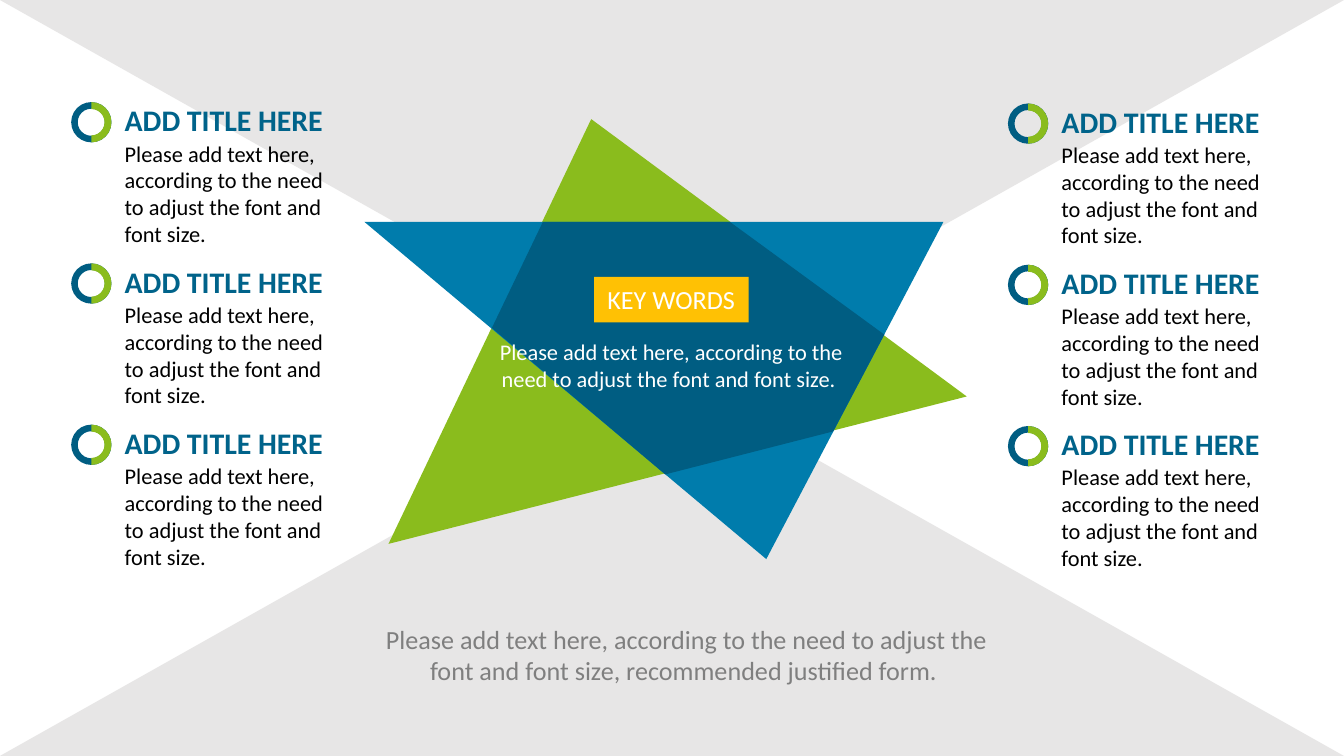
from pptx import Presentation
from pptx.dml.color import RGBColor
from pptx.enum.shapes import MSO_SHAPE as Shape
from pptx.enum.text import MSO_ANCHOR as Anchor, MSO_AUTO_SIZE as AutoSize, PP_ALIGN as Align
from pptx.util import Inches, Pt

WHITE = RGBColor(0xFF, 0xFF, 0xFF)
BLACK = RGBColor(0x00, 0x00, 0x00)
LIGHT_GRAY = RGBColor(0xE7, 0xE6, 0xE6)
GRAY = RGBColor(0x7F, 0x7F, 0x7F)
GREEN = RGBColor(0x8A, 0xBC, 0x1D)
BLUE = RGBColor(0x00, 0x7C, 0xAC)
DARK_BLUE = RGBColor(0x00, 0x5D, 0x82)
TITLE_BLUE = RGBColor(0x00, 0x63, 0x8A)
YELLOW = RGBColor(0xFF, 0xC1, 0x04)

SLIDE_WIDTH = 10
SLIDE_HEIGHT = SLIDE_WIDTH * 9 / 16
ITEM_PITCH = 1.2
RING_SIZE = 0.3
HINT = "Please add text here, according to the need to adjust the font and font size"


def paint(shape, color):
    shape.shadow.inherit = False
    shape.fill.solid()
    shape.fill.fore_color.rgb = color
    shape.line.fill.background()


def add_filled(shapes, kind, box, color, adjustments=(), rotation=0):
    shape = shapes.add_shape(kind, *map(Inches, box))
    paint(shape, color)
    for index, value in enumerate(adjustments):
        shape.adjustments[index] = value
    shape.rotation = rotation
    return shape


def write_text(shape, text, size, color, bold=False, align=Align.LEFT, wrap=True, after=0):
    frame = shape.text_frame
    frame.word_wrap = wrap
    frame.auto_size = AutoSize.SHAPE_TO_FIT_TEXT
    frame.vertical_anchor = Anchor.TOP
    paragraph = frame.paragraphs[0]
    paragraph.alignment = align
    paragraph.space_after = Pt(after)
    run = paragraph.add_run()
    run.text = text
    run.font.name = "Calibri"
    run.font.size = Pt(size)
    run.font.bold = bold
    run.font.color.rgb = color


def add_text(shapes, box, text, **text_format):
    write_text(shapes.add_textbox(*map(Inches, box)), text, **text_format)


def add_backdrop(slide, left, top, width, height):
    shapes = slide.shapes.add_group_shape().shapes
    half = height / 2
    add_filled(shapes, Shape.ISOSCELES_TRIANGLE, (left, top, width, half), LIGHT_GRAY, [0.5], 180)
    add_filled(shapes, Shape.ISOSCELES_TRIANGLE, (left, top + half, width, half), LIGHT_GRAY, [0.5])


def add_star(slide, left, top):
    shapes = slide.shapes.add_group_shape().shapes
    add_filled(shapes, Shape.ISOSCELES_TRIANGLE, (left, top, 4.44, 2.69), GREEN, [0.505], 345.7)
    add_filled(shapes, Shape.ISOSCELES_TRIANGLE, (left + 0.22, top + 0.8, 4.31, 2.51), BLUE,
               [0.306], 180)
    corners = [(1.55, 0.8), (2.94, 0.8), (4.09, 1.64), (3.71, 2.36), (2.46, 2.68), (1.17, 1.59)]
    points = [(Inches(left + x), Inches(top + y)) for x, y in corners]
    builder = shapes.build_freeform(*points[0])
    builder.add_line_segments(points[1:], close=True)
    paint(builder.convert_to_shape(), DARK_BLUE)


def add_key_words(slide, left, top):
    shapes = slide.shapes.add_group_shape().shapes
    label = add_filled(shapes, Shape.RECTANGLE, (left + 0.85, top, 1.15, 0.34), YELLOW)
    write_text(label, "KEY WORDS", size=14, color=WHITE, wrap=False)
    add_text(shapes, (left, top + 0.41, 2.85, 0.5), HINT + ". ",
             size=12, color=WHITE, align=Align.CENTER)


def add_item(slide, left, top):
    shapes = slide.shapes.add_group_shape().shapes
    ring = (left, top + 0.05, RING_SIZE, RING_SIZE)
    text_left = left + RING_SIZE
    add_filled(shapes, Shape.DONUT, ring, DARK_BLUE, [0.164])
    add_filled(shapes, Shape.BLOCK_ARC, ring, GREEN, [162, 54, 0.173])
    add_text(shapes, (text_left, top, 1.7, 0.37), "ADD TITLE HERE",
             size=16, color=TITLE_BLUE, bold=True, wrap=False)
    add_text(shapes, (text_left, top + 0.28, 1.74, 0.9), HINT + ".",
             size=12, color=BLACK, after=6)


def add_item_column(slide, left, top, count=3):
    for row in range(count):
        add_item(slide, left, top + row * ITEM_PITCH)


def main():
    presentation = Presentation()
    presentation.slide_width = Inches(SLIDE_WIDTH)
    presentation.slide_height = Inches(SLIDE_HEIGHT)
    slide = presentation.slides.add_slide(presentation.slide_layouts[6])
    add_backdrop(slide, 0, 0, SLIDE_WIDTH, SLIDE_HEIGHT)
    add_star(slide, 2.49, 0.85)
    add_key_words(slide, 3.57, 2.06)
    add_text(slide.shapes, (2.63, 4.59, 4.96, 0.57), HINT + ", recommended justified form. ",
             size=14, color=GRAY, align=Align.CENTER, after=6)
    add_item_column(slide, 7.5, 0.72)
    add_item_column(slide, 0.53, 0.71)
    presentation.save("out.pptx")


if __name__ == "__main__":
    main()
